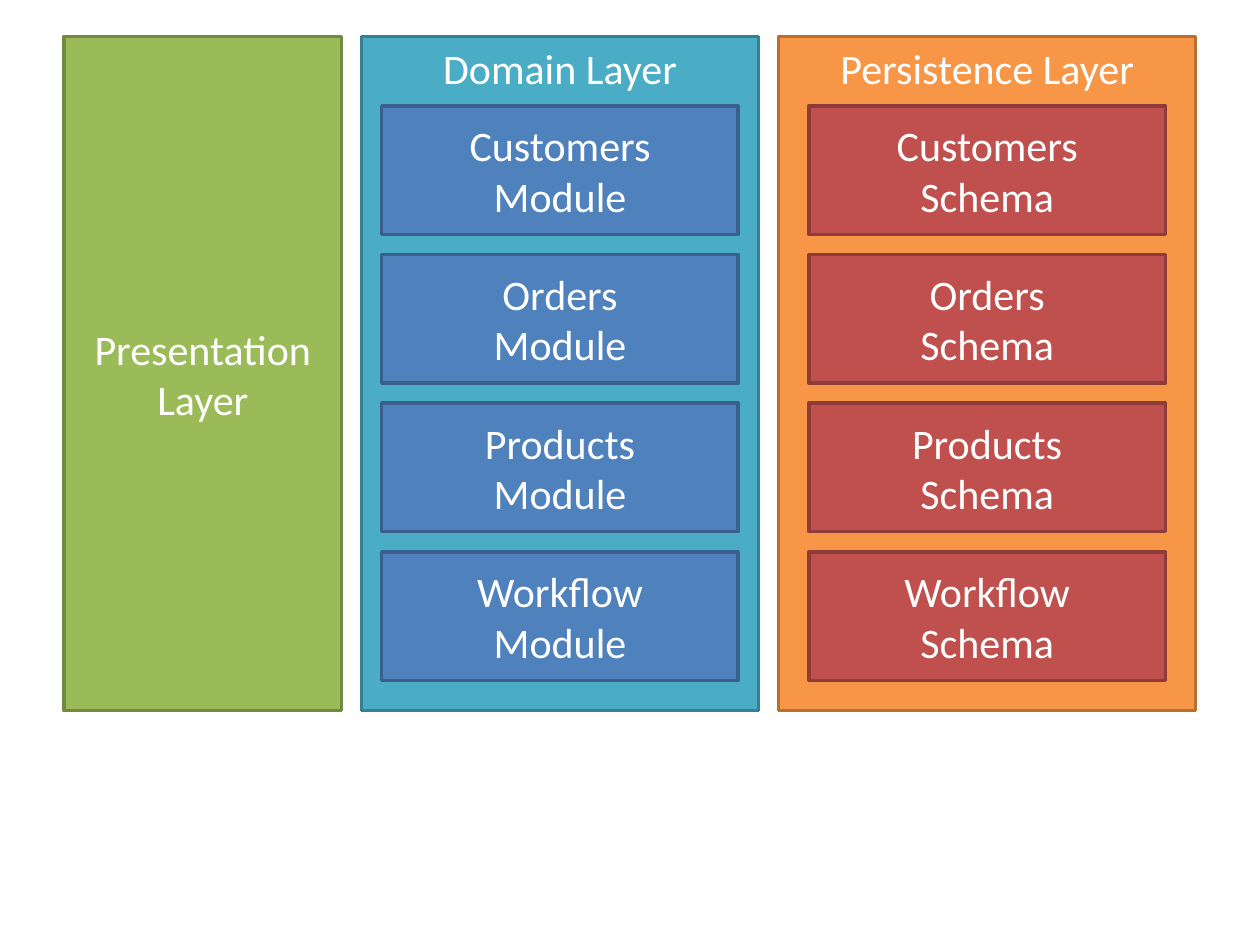
from pptx import Presentation
from pptx.dml.color import RGBColor
from pptx.enum.shapes import MSO_SHAPE
from pptx.enum.text import MSO_ANCHOR, PP_ALIGN
from pptx.util import Inches, Pt

COLORS = {
    "white": "FFFFFF",
    "green": "9BBB59", "green_line": "738A42",
    "teal": "4BACC6", "teal_line": "377F92",
    "blue": "4F81BD", "blue_line": "3A5F8C",
    "orange": "F79646", "orange_line": "B76F34",
    "red": "C0504D", "red_line": "8E3B39",
}
AREAS = ["Customers", "Orders", "Products", "Workflow"]
LAYER_TOP, LAYER_HEIGHT = 0.29, 5.35
BOX_TOP, BOX_WIDTH, BOX_HEIGHT, BOX_STEP = 0.84, 2.83, 1.02, 1.18


def color(name):
    return RGBColor.from_string(COLORS[name])


def write_text(shape, text, size=24, font="Calibri", text_color="white",
               anchor=MSO_ANCHOR.MIDDLE):
    frame = shape.text_frame
    frame.word_wrap = True
    frame.vertical_anchor = anchor
    paragraph = frame.paragraphs[0]
    paragraph.text = text
    paragraph.alignment = PP_ALIGN.CENTER
    for run in paragraph.runs:
        run.font.size = Pt(size)
        run.font.name = font
        run.font.color.rgb = color(text_color)


def add_box(slide, text, left, top, width, height, fill, **text_format):
    shape = slide.shapes.add_shape(
        MSO_SHAPE.RECTANGLE,
        Inches(left), Inches(top), Inches(width), Inches(height))
    shape.shadow.inherit = False
    shape.fill.solid()
    shape.fill.fore_color.rgb = color(fill)
    shape.line.color.rgb = color(f"{fill}_line")
    shape.line.width = Pt(2)
    write_text(shape, text, **text_format)


def add_layer(slide, text, left, width, fill, anchor=MSO_ANCHOR.TOP):
    add_box(slide, text, left, LAYER_TOP, width, LAYER_HEIGHT, fill, anchor=anchor)


def add_stack(slide, kind, left, fill):
    for row, area in enumerate(AREAS):
        add_box(slide, f"{area}\v{kind}", left, BOX_TOP + row * BOX_STEP,
                BOX_WIDTH, BOX_HEIGHT, fill)


def main():
    presentation = Presentation()
    presentation.slide_width = Inches(10)
    presentation.slide_height = Inches(7.5)
    slide = presentation.slides.add_slide(presentation.slide_layouts[6])

    # Presentation layer
    add_layer(slide, "Presentation Layer", 0.51, 2.2, "green", anchor=MSO_ANCHOR.MIDDLE)

    # Domain layer with its modules
    add_layer(slide, "Domain Layer", 2.87, 3.15, "teal")
    add_stack(slide, "Module", 3.03, "blue")

    # Persistence layer with its schemas
    add_layer(slide, "Persistence Layer", 6.18, 3.31, "orange")
    add_stack(slide, "Schema", 6.42, "red")

    presentation.save("out.pptx")


if __name__ == "__main__":
    main()
